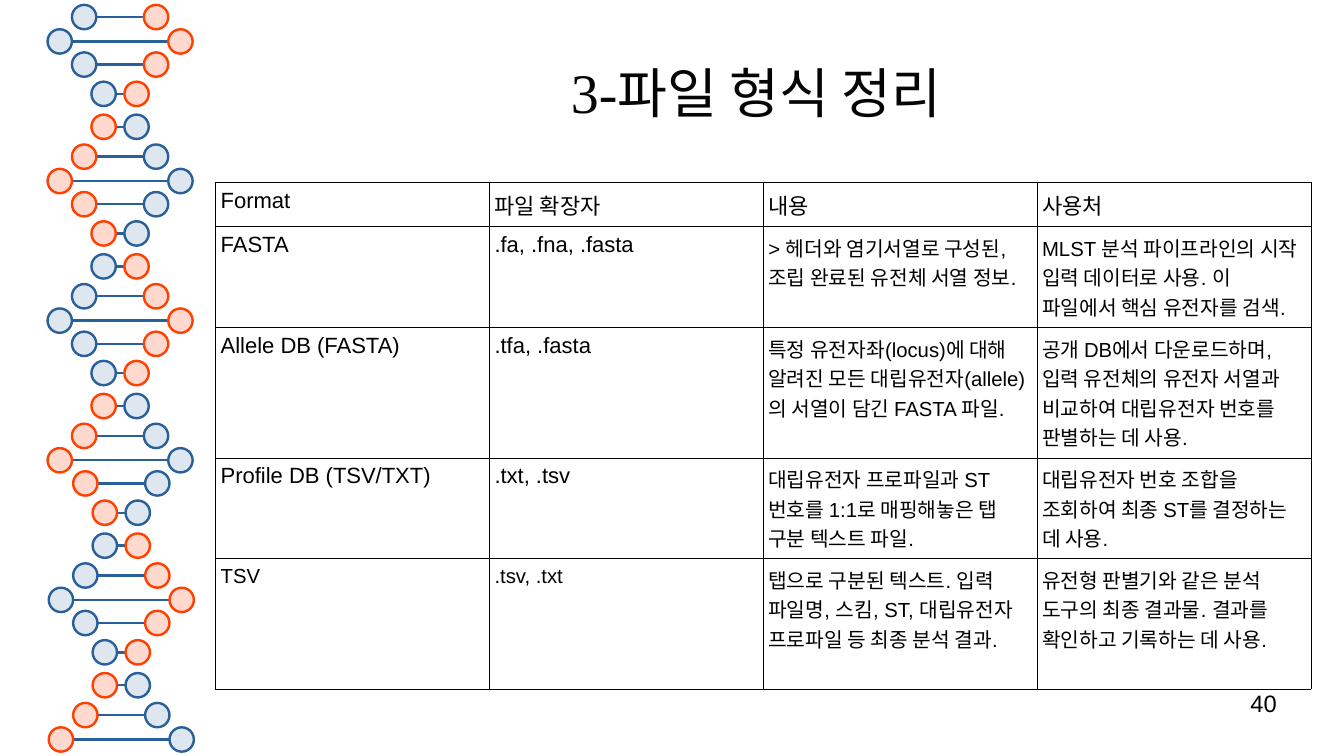
import pptx
import pptx.util
import pptx.dml.color
import pptx.enum.shapes
import pptx.enum.text
import pptx.oxml
import pptx.oxml.ns

Inches, Pt = pptx.util.Inches, pptx.util.Pt
RGB = pptx.dml.color.RGBColor.from_string
ALIGN, ANCHOR = pptx.enum.text.PP_ALIGN, pptx.enum.text.MSO_ANCHOR
COLORS = {"blue": "2A6099", "pale_blue": "DEE6EF", "orange": "FF4000",
          "pale_orange": "FFD8CE", "title": "050505", "black": "000000"}


def add_text(tf, text, size=13, font="Arial", color="black", align=ALIGN.LEFT):
    p = tf.paragraphs[0]
    p.alignment = align
    r = p.add_run()
    r.text = text
    r.font.size, r.font.name, r.font.bold = Pt(size), font, False
    r.font.color.rgb = RGB(COLORS[color])


def set_margins(obj, x, y):
    obj.margin_left = obj.margin_right = Inches(x)
    obj.margin_top = obj.margin_bottom = Inches(y)


prs = pptx.Presentation()
prs.slide_width, prs.slide_height = Inches(11.02), Inches(6.2)
s = prs.slides.add_slide(prs.slide_layouts[5])

# DNA ladder: five rungs per half twist, colours swap at each crossing
TWIST, BALL = 1.145, 0.2
RUNGS = [(0.14, 0.295), (0.34, 0.495), (0.53, 0.295), (0.77, 0.135), (1.04, 0.135)]
STRANDS = ["blue", "orange"]
for i in range(27):
    twist, rung = divmod(i, len(RUNGS))
    y, half = RUNGS[rung]
    y += twist * TWIST
    cx = 0.985 if y < 3.9 else 0.995
    inner = half - BALL / 2
    line = s.shapes.add_connector(
        pptx.enum.shapes.MSO_CONNECTOR.STRAIGHT,
        Inches(cx - inner), Inches(y), Inches(cx + inner), Inches(y))
    line.line.color.rgb = RGB(COLORS["blue"])
    line.line.width = Pt(1.42)
    line._element.spPr.append(pptx.oxml.parse_xml(
        "<a:effectLst %s/>" % pptx.oxml.ns.nsdecls("a")))
    for side in (0, 1):
        strand = STRANDS[(twist + (rung == 4) + side) % 2]
        x = cx + (half if side else -half)
        sp = s.shapes.add_shape(
            pptx.enum.shapes.MSO_SHAPE.OVAL, Inches(x - BALL / 2),
            Inches(y - BALL / 2), Inches(BALL), Inches(BALL))
        sp.shadow.inherit = False
        sp.fill.solid()
        sp.fill.fore_color.rgb = RGB(COLORS["pale_" + strand])
        sp.line.color.rgb = RGB(COLORS[strand])
        sp.line.width = Pt(1.42)

# Title
title = s.shapes.title
title.left, title.top = Inches(1.77), Inches(0.24)
title.width, title.height = Inches(8.86), Inches(1.02)
tf = title.text_frame
tf.vertical_anchor = ANCHOR.MIDDLE
set_margins(tf, 0, 0)
for text, size in (("3-", 33), ("파일 형식 정리", 32)):
    add_text(tf, text, size=size, font="Times New Roman", color="title", align=ALIGN.CENTER)

# File format table
ROWS = [
    ("Format", "파일 확장자", "내용", "사용처"),
    ("FASTA", ".fa, .fna, .fasta",
     "> 헤더와 염기서열로 구성된, 조립 완료된 유전체 서열 정보.",
     "MLST 분석 파이프라인의 시작 입력 데이터로 사용. 이 파일에서 핵심 유전자를 검색."),
    ("Allele DB (FASTA)", ".tfa, .fasta",
     "특정 유전자좌(locus)에 대해 알려진 모든 대립유전자(allele)의 서열이 담긴 FASTA 파일.",
     "공개 DB에서 다운로드하며, 입력 유전체의 유전자 서열과 비교하여 대립유전자 번호를 판별하는 데 사용."),
    ("Profile DB (TSV/TXT)", ".txt, .tsv",
     "대립유전자 프로파일과 ST 번호를 1:1로 매핑해놓은 탭 구분 텍스트 파일.",
     "대립유전자 번호 조합을 조회하여 최종 ST를 결정하는 데 사용."),
    ("TSV", ".tsv, .txt",
     "탭으로 구분된 텍스트. 입력 파일명, 스킴, ST, 대립유전자 프로파일 등 최종 분석 결과.",
     "유전형 판별기와 같은 분석 도구의 최종 결과물. 결과를 확인하고 기록하는 데 사용."),
]
HEIGHTS = [0.36, 0.82, 1.07, 0.82, 1.07]
table = s.shapes.add_table(len(ROWS), 4, Inches(1.77), Inches(1.5),
                           Inches(8.98), Inches(sum(HEIGHTS))).table
table.first_row = table.horz_banding = False
for row, (texts, height) in enumerate(zip(ROWS, HEIGHTS)):
    table.rows[row].height = Inches(height)
    for col, text in enumerate(texts):
        cell = table.cell(row, col)
        set_margins(cell, 0.04, 0.05)
        small = row == 4 or (row > 0 and col > 1)
        add_text(cell.text_frame, text, size=12 if small else 13)
        tcPr = cell._tc.get_or_add_tcPr()
        for edge in ("lnL", "lnR", "lnT", "lnB"):
            tcPr.append(pptx.oxml.parse_xml(
                '<a:%s %s w="7200"><a:solidFill><a:srgbClr val="%s"/></a:solidFill></a:%s>'
                % (edge, pptx.oxml.ns.nsdecls("a"), COLORS["black"], edge)))
        cell.fill.background()

# Page number
tf = s.shapes.add_textbox(Inches(7.9), Inches(5.65), Inches(2.57), Inches(0.43)).text_frame
tf.word_wrap = True
set_margins(tf, 0, 0)
add_text(tf, "40", size=14, align=ALIGN.RIGHT)

prs.save("out.pptx")
